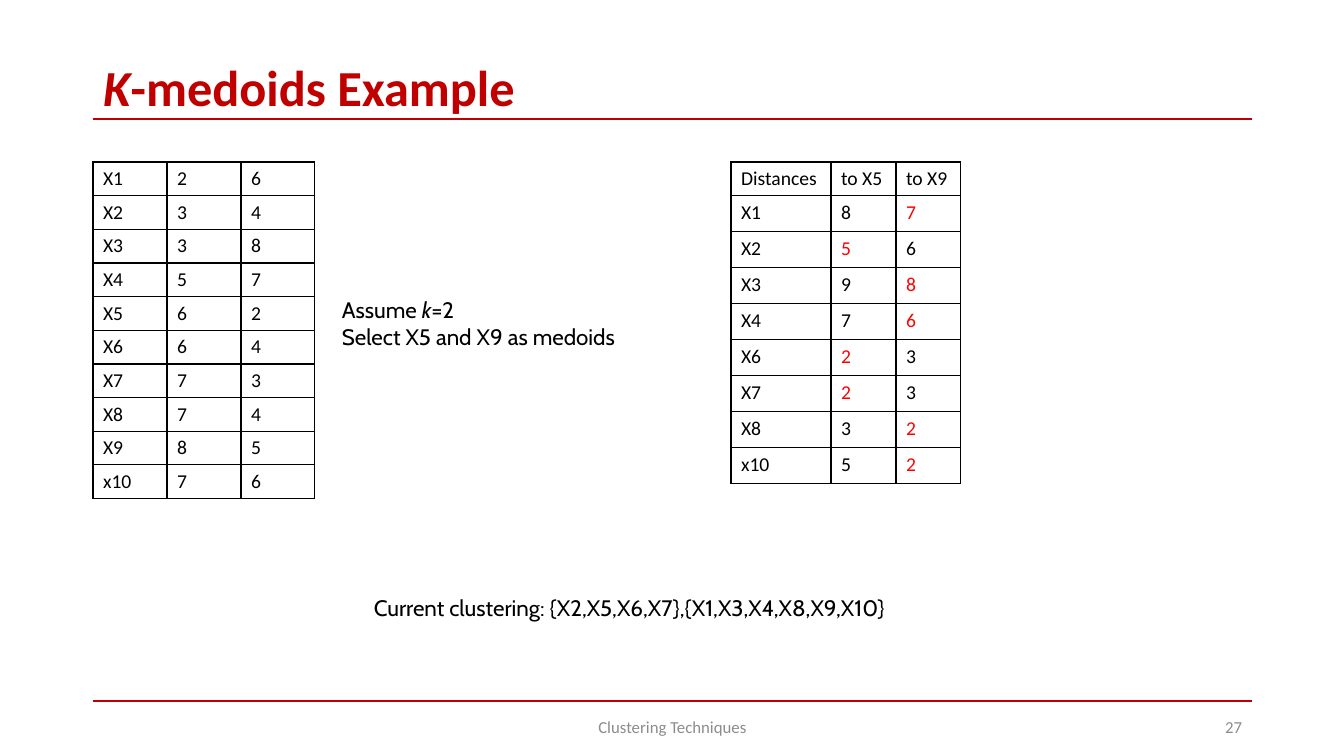
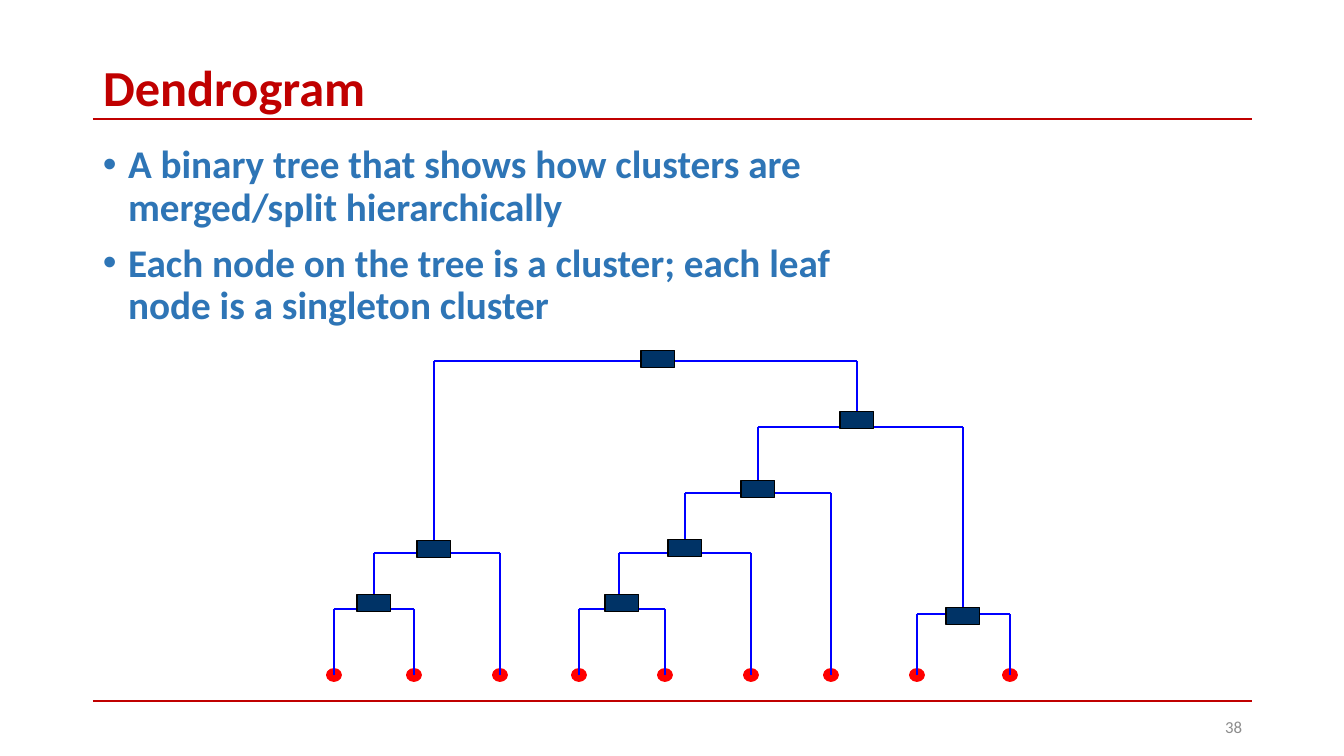
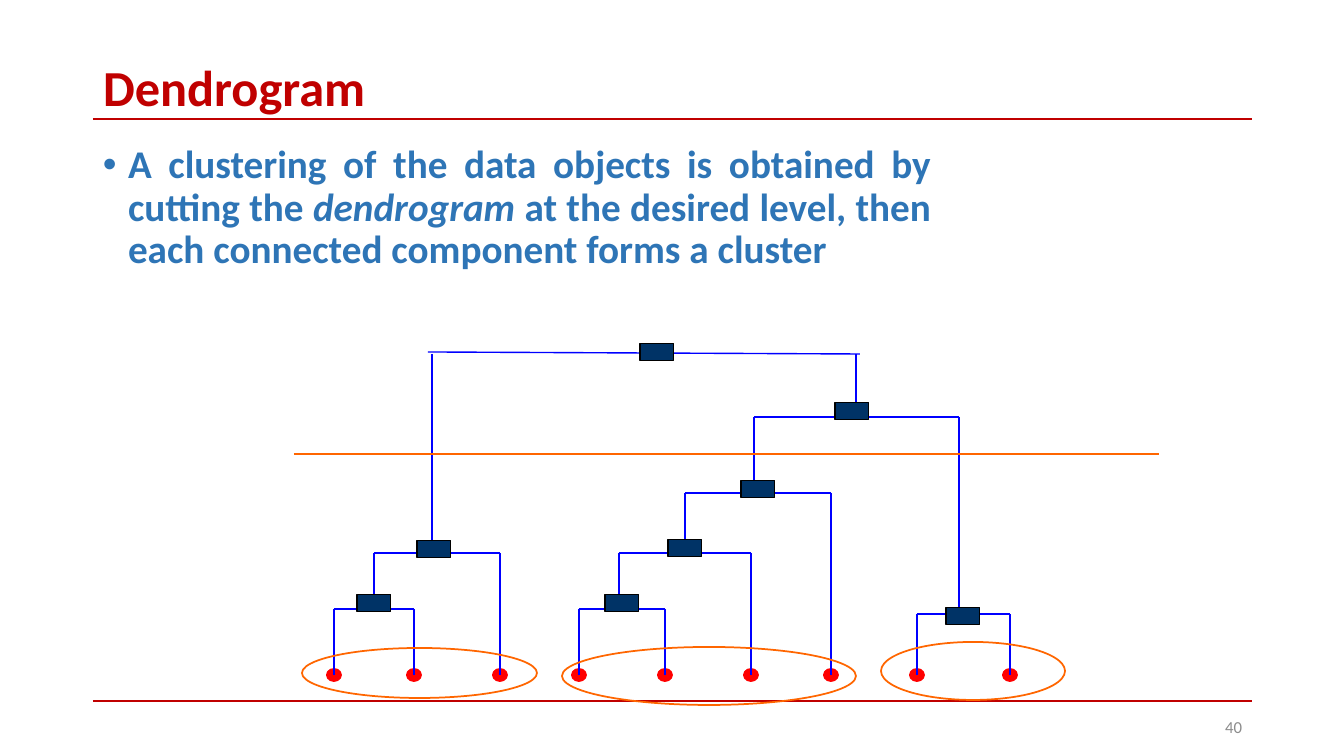
from dataclasses import dataclass

import lxml.etree
import pptx
import pptx.dml.color
import pptx.enum.shapes
import pptx.enum.text
import pptx.oxml.ns
import pptx.util

SCALE = 12192000 / 1344
ALIGN = pptx.enum.text.PP_ALIGN
ANCHOR = pptx.enum.text.MSO_ANCHOR
SHAPE = pptx.enum.shapes.MSO_SHAPE
STRAIGHT = pptx.enum.shapes.MSO_CONNECTOR.STRAIGHT
qn = pptx.oxml.ns.qn


@dataclass(frozen=True)
class Style:
    size: int
    color: str
    font: str = "Calibri"
    bold: bool = False


@dataclass(frozen=True)
class Theme:
    title = Style(36, "C00000", bold=True)
    bullet = Style(28, "2E75B6", bold=True)
    note = Style(16, "000000", "Cabin")
    cell = Style(14, "000000")
    nearest = Style(14, "FF0000")
    footer = Style(12, "8C8C8C")
    rule = ("C00000", 1.5)
    branch = ("0000FF", 1)
    node_line = ("000000", 0.75)
    node_fill = "003366"
    leaf_line = ("FF0000", 2)
    leaf_fill = "FF0000"
    cut = ("FF6600", 2)
    cluster = ("FF6600", 1.25)
    border = ("000000", 1)


@dataclass(frozen=True)
class Node:
    x: int
    y: int
    bar_y: int
    drops: tuple
    overhang: int = 0
    tilt: int = 0


THEME = Theme()

TITLE_BOX = (93, 61, 1159, 58)
RULE_ENDS = (93, 1252)
RULE_LEVELS = (119, 701)
FOOTER_BOX = (446, 707, 453, 40)
NUMBER_BOX = (950, 707, 302, 40)

POINTS = [
    ("X1", 2, 6), ("X2", 3, 4), ("X3", 3, 8), ("X4", 5, 7), ("X5", 6, 2),
    ("X6", 6, 4), ("X7", 7, 3), ("X8", 7, 4), ("X9", 8, 5), ("x10", 7, 6),
]
DISTANCE_HEADER = ("Distances", "to X5", "to X9")
DISTANCES = [
    ("X1", 8, 7), ("X2", 5, 6), ("X3", 9, 8), ("X4", 7, 6),
    ("X6", 2, 3), ("X7", 2, 3), ("X8", 3, 2), ("x10", 5, 2),
]
NOTES = [
    ((332, 291, 305, 65), ["Assume *k*=2", "Select X5 and X9 as medoids"]),
    ((364, 589, 585, 37), ["Current clustering: {X2,X5,X6,X7},{X1,X3,X4,X8,X9,X10}"]),
]

TREE_BULLETS = [
    "A binary tree that shows how clusters are merged/split hierarchically",
    "Each node on the tree is a cluster; each leaf node is a singleton cluster",
]
CUT_BULLETS = [
    "A clustering of the data objects is obtained by cutting the *dendrogram* "
    "at the desired level, then each connected component forms a cluster",
]

NODE_SIZE = (34, 17)
LEAF_SIZE = (13, 11)
LEAF_Y = 675
LEAVES = (334, 414, 500, 579, 665, 751, 831, 917, 1010)
TREE = {
    "root": Node(658, 359, 361, (("left", 434), ("right", 857))),
    "left": Node(434, 549, 553, (("left pair", 374), (None, 500))),
    "left pair": Node(374, 603, 609, ((None, 334), (None, 414))),
    "right": Node(857, 420, 427, (("middle", 758), ("right pair", 963))),
    "middle": Node(758, 489, 493, (("middle trio", 685), (None, 831))),
    "middle trio": Node(685, 548, 553, (("middle pair", 619), (None, 751))),
    "middle pair": Node(622, 603, 609, ((None, 579), (None, 665))),
    "right pair": Node(963, 616, 614, ((None, 917), (None, 1010))),
}
CUT_TREE = TREE | {
    "root": Node(657, 352, 354, (("left", 432), ("right", 856)), 4, 2),
    "right": Node(852, 411, 417, (("middle", 754), ("right pair", 959))),
}
CUT_LINE = (294, 454, 1159, 454)
CLUSTERS = [(302, 648, 235, 50), (562, 647, 294, 58), (881, 642, 184, 58)]


def px(value):
    return pptx.util.Emu(round(value * SCALE))


def emu(values):
    return [px(value) for value in values]


def rgb(code):
    return pptx.dml.color.RGBColor.from_string(code)


def set_line(line, look):
    color, width = look
    line.color.rgb = rgb(color)
    line.width = pptx.util.Pt(width)


def write_para(para, text, style):
    for index, piece in enumerate(text.split("*")):
        if piece:
            span = para.add_run()
            span.text = piece
            span.font.name = style.font
            span.font.size = pptx.util.Pt(style.size)
            span.font.bold = style.bold
            span.font.italic = index % 2 == 1
            span.font.color.rgb = rgb(style.color)


def add_text(page, box, lines, style, align=ALIGN.LEFT, anchor=ANCHOR.TOP):
    frame = page.shapes.add_textbox(*emu(box)).text_frame
    frame.word_wrap = True
    frame.vertical_anchor = anchor
    for index, line in enumerate(lines):
        para = frame.add_paragraph() if index else frame.paragraphs[0]
        para.alignment = align
        write_para(para, line, style)
    return frame


def add_bullets(page, box, lines, align=ALIGN.LEFT):
    frame = add_text(page, box, lines, THEME.bullet, align)
    for para in frame.paragraphs:
        para.line_spacing = 0.9
        para.space_before = pptx.util.Pt(10)
        props = para._p.get_or_add_pPr()
        indent = pptx.util.Inches(0.25)
        props.set("marL", str(indent))
        props.set("indent", str(-indent))
        lxml.etree.SubElement(props, qn("a:buFont")).set("typeface", "Arial")
        lxml.etree.SubElement(props, qn("a:buChar")).set("char", "•")


def add_line(page, ends, look):
    line = page.shapes.add_connector(STRAIGHT, *emu(ends))
    set_line(line.line, look)
    lxml.etree.SubElement(line.element.spPr, qn("a:effectLst"))
    return line


def add_shape(page, kind, box, look, fill=None):
    shape = page.shapes.add_shape(kind, *emu(box))
    shape.shadow.inherit = False
    set_line(shape.line, look)
    if fill:
        shape.fill.solid()
        shape.fill.fore_color.rgb = rgb(fill)
    else:
        shape.fill.background()
    return shape


def centred(x, y, size):
    width, height = size
    return x - width / 2, y - height / 2, width, height


def add_page(deck, title, number, footer=None):
    page = deck.slides.add_slide(deck.slide_layouts[5])
    for y in RULE_LEVELS:
        left, right = RULE_ENDS
        add_line(page, (left, y, right, y), THEME.rule)
    heading = page.shapes.title
    heading.left, heading.top, heading.width, heading.height = emu(TITLE_BOX)
    frame = heading.text_frame
    frame.auto_size = pptx.enum.text.MSO_AUTO_SIZE.NONE
    frame.vertical_anchor = ANCHOR.MIDDLE
    para = frame.paragraphs[0]
    para.alignment = ALIGN.LEFT
    para.line_spacing = 0.9
    write_para(para, title, THEME.title)
    if footer:
        add_text(page, FOOTER_BOX, [footer], THEME.footer, ALIGN.CENTER, ANCHOR.MIDDLE)
    add_text(page, NUMBER_BOX, [str(number)], THEME.footer, ALIGN.RIGHT, ANCHOR.MIDDLE)
    return page


def set_borders(cell):
    color, width = THEME.border
    props = cell._tc.get_or_add_tcPr()
    for index, side in enumerate(("lnL", "lnR", "lnT", "lnB")):
        edge = lxml.etree.Element(qn("a:" + side), w=str(pptx.util.Pt(width)))
        fill = lxml.etree.SubElement(edge, qn("a:solidFill"))
        lxml.etree.SubElement(fill, qn("a:srgbClr")).set("val", color)
        props.insert(index, edge)


def add_grid(page, left, top, widths, heights, rows, style_of):
    box = (left, top, sum(widths), sum(heights))
    table = page.shapes.add_table(len(rows), len(widths), *emu(box)).table
    table.first_row = False
    table.horz_banding = False
    for column, width in zip(table.columns, widths):
        column.width = px(width)
    for line, height, values in zip(table.rows, heights, rows):
        line.height = px(height)
        for cell, value in zip(line.cells, values):
            cell.fill.background()
            set_borders(cell)
            write_para(cell.text_frame.paragraphs[0], str(value), style_of(value, values))


def plain_style(value, row):
    return THEME.cell


def nearest_style(value, row):
    numbers = [item for item in row if isinstance(item, int)]
    return THEME.nearest if numbers and value == min(numbers) else THEME.cell


def add_tree(page, tree):
    for node in tree.values():
        left, right = (x for _, x in node.drops)
        bar = (left - node.overhang, node.bar_y - node.tilt, right + node.overhang, node.bar_y)
        add_line(page, bar, THEME.branch)
    for x in LEAVES:
        add_shape(page, SHAPE.OVAL, centred(x, LEAF_Y, LEAF_SIZE), THEME.leaf_line, THEME.leaf_fill)
    boxes = {
        name: add_shape(page, SHAPE.RECTANGLE, centred(node.x, node.y, NODE_SIZE),
                        THEME.node_line, THEME.node_fill)
        for name, node in tree.items()
    }
    for node in tree.values():
        for child, x in node.drops:
            end_y = tree[child].y - NODE_SIZE[1] / 2 if child else LEAF_Y
            drop = add_line(page, (x, node.bar_y, x, end_y), THEME.branch)
            if child and tree[child].x == x:
                drop.end_connect(boxes[child], 0)


def build_medoids(deck):
    page = add_page(deck, "*K*-medoids Example", 27, "Clustering Techniques")
    for box, lines in NOTES:
        add_text(page, box, lines, THEME.note)
    add_grid(page, 93, 162, [74] * 3, [33] * len(POINTS), POINTS, plain_style)
    add_grid(page, 731, 162, [100, 65, 65], [33] + [36] * len(DISTANCES),
             [DISTANCE_HEADER] + DISTANCES, nearest_style)


def build_dendrogram(deck):
    page = add_page(deck, "Dendrogram", 38)
    add_bullets(page, (93, 140, 758, 194), TREE_BULLETS)
    add_tree(page, TREE)


def build_cut(deck):
    page = add_page(deck, "Dendrogram", 40)
    add_bullets(page, (93, 140, 848, 142), CUT_BULLETS, ALIGN.JUSTIFY)
    add_tree(page, CUT_TREE)
    add_line(page, CUT_LINE, THEME.cut)
    for box in CLUSTERS:
        add_shape(page, SHAPE.OVAL, box, THEME.cluster)


def main():
    deck = pptx.Presentation()
    deck.slide_width, deck.slide_height = emu((1344, 756))
    for build in (build_medoids, build_dendrogram, build_cut):
        build(deck)
    deck.save("out.pptx")


if __name__ == "__main__":
    main()
